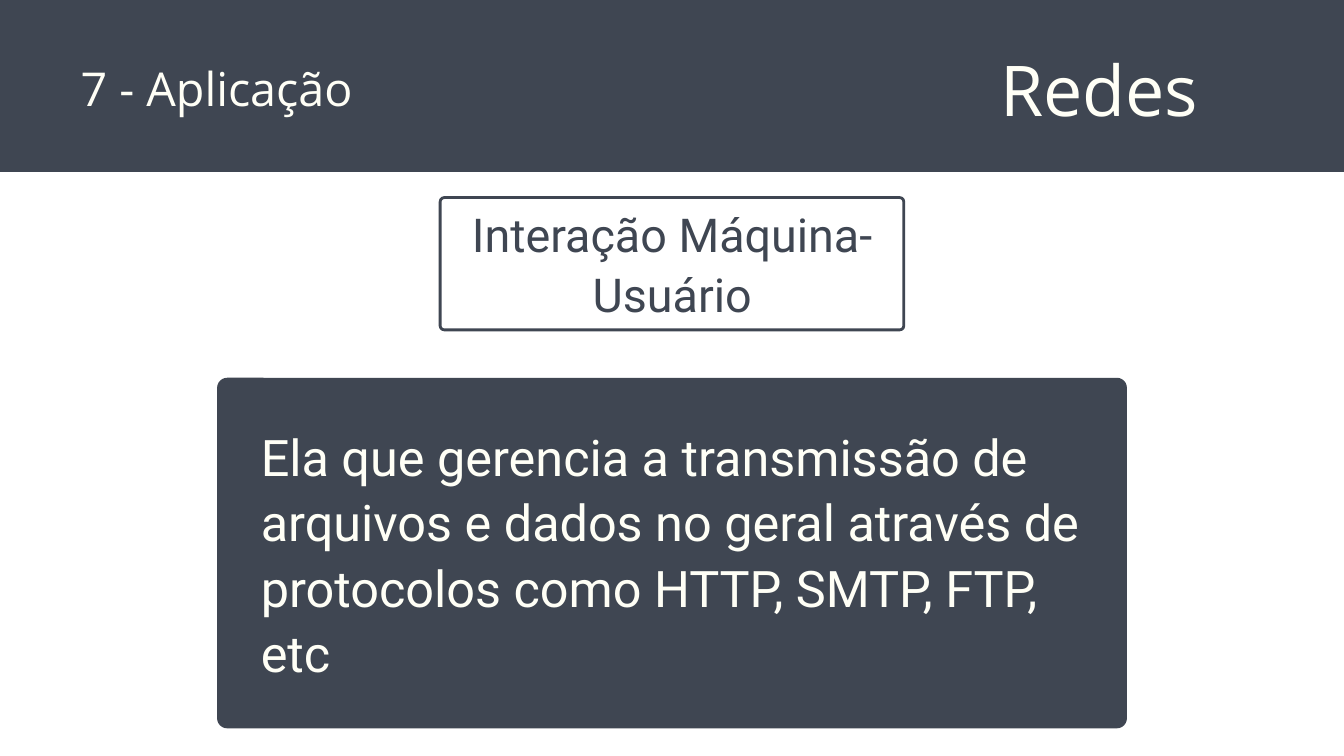
from pptx import Presentation
from pptx import util as u
from pptx.dml.color import RGBColor
from pptx.enum import shapes, text

SLATE = RGBColor(0x3F, 0x46, 0x52)
CREAM = RGBColor(0xFF, 0xFF, 0xF6)
LEFT, MID = text.PP_ALIGN.LEFT, text.PP_ALIGN.CENTER
RECT = shapes.MSO_SHAPE.RECTANGLE
ROUND = shapes.MSO_SHAPE.ROUNDED_RECTANGLE


class Deck:
    """Holds the text style and the current slide."""

    frame = dict(
        margin_left=0, margin_top=0, margin_right=0, margin_bottom=0,
        word_wrap=True, vertical_anchor=text.MSO_ANCHOR.TOP,
        auto_size=text.MSO_AUTO_SIZE.SHAPE_TO_FIT_TEXT,
    )

    def __init__(self, wide, high):
        self.prs = Presentation()
        self.prs.slide_width, self.prs.slide_height = u.Pt(wide), u.Pt(high)
        self.slide = self.prs.slides.add_slide(self.prs.slide_layouts[5])

    def put(self, item, values):
        for name, value in values.items():
            setattr(item, name, value)

    def box(self, kind, area, radius=0, fill=None, line=None):
        item = self.slide.shapes.add_shape(kind, *map(u.Pt, area))
        item.shadow.inherit = False
        if radius:
            item.adjustments[0] = radius / min(area[2:])
        if fill is None:
            item.fill.background()
        else:
            item.fill.solid()
            item.fill.fore_color.rgb = fill
        if line is None:
            item.line.fill.background()
        else:
            item.line.color.rgb = line
            item.line.width = u.Pt(3)

    def style(self, item, words, size, space, font, color, align):
        body = item.text_frame
        body.text = words
        self.put(body, self.frame)
        para = body.paragraphs[0]
        self.put(para, dict(alignment=align, line_spacing=u.Pt(space)))
        run = para.runs[0]
        self.put(run.font, dict(name=font, size=u.Pt(size)))
        run.font.color.rgb = color

    def label(self, area, *look):
        item = self.slide.shapes.add_textbox(*map(u.Pt, area))
        self.style(item, *look)

    def title(self, area, *look):
        item = self.slide.shapes.title
        names = ("left", "top", "width", "height")
        self.put(item, dict(zip(names, map(u.Pt, area))))
        self.style(item, *look)
        item.element.getparent().append(item.element)


def main():
    deck = Deck(1440, 810)
    deck.box(ROUND, (471.6, 211.7, 496.8, 141.8), radius=4.5, line=SLATE)
    deck.box(ROUND, (232.6, 404.8, 974.8, 375.6), radius=10.8, fill=SLATE)
    deck.box(RECT, (0, 0, 1440, 184.3), fill=SLATE)
    deck.label((497.5, 215.3, 445.7, 129.6), "Interação Máquina-Usuário",
               50, 65, "Roboto", SLATE, MID)
    deck.label((279.4, 450.7, 880.6, 278.6),
               "Ela que gerencia a transmissão de arquivos e dados no geral "
               "através de protocolos como HTTP, SMTP, FTP, etc",
               54, 70.2, "Roboto", CREAM, LEFT)
    deck.label((996.5, 35.3, 362.2, 102.2), "Redes",
               75, 105, "Open Sans", CREAM, MID)
    deck.title((86.4, 54, 583.9, 67.7), "7 - Aplicação",
               50, 70, "Open Sans", CREAM, LEFT)
    deck.prs.save("out.pptx")


if __name__ == "__main__":
    main()
